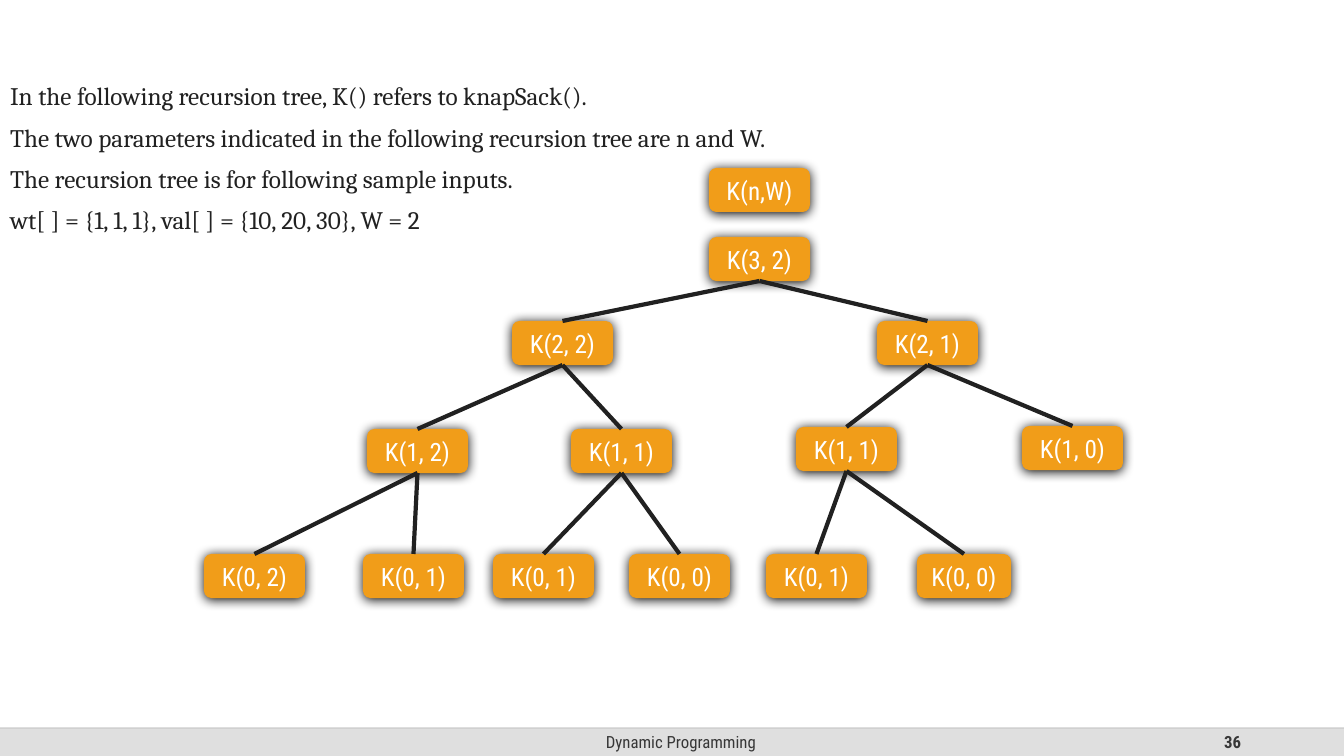
from lxml import etree
from pptx import Presentation
from pptx.dml.color import RGBColor
from pptx.enum.shapes import MSO_CONNECTOR, MSO_SHAPE
from pptx.enum.text import MSO_ANCHOR, MSO_AUTO_SIZE, PP_ALIGN
from pptx.oxml.ns import qn
from pptx.util import Emu, Pt

STRAIGHT = MSO_CONNECTOR.STRAIGHT
ROUNDED = MSO_SHAPE.ROUNDED_RECTANGLE
MIDDLE, TOP = MSO_ANCHOR.MIDDLE, MSO_ANCHOR.TOP
NO_FIT = MSO_AUTO_SIZE.NONE
CENTER, RIGHT, JUSTIFY = PP_ALIGN.CENTER, PP_ALIGN.RIGHT, PP_ALIGN.JUSTIFY

PX_PER_INCH = 100.8
SLIDE_W, SLIDE_H = 1344, 756
BOTTOM_SIDE, TOP_SIDE = 2, 0

SERIF, SANS = "Cambria", "Roboto Condensed"
ORANGE = RGBColor(0xF1, 0x9D, 0x19)
WHITE = RGBColor(0xFF, 0xFF, 0xFF)
BLACK = RGBColor(0x00, 0x00, 0x00)
INK = RGBColor(0x21, 0x21, 0x21)
FOOTER_INK = RGBColor(0x37, 0x37, 0x37)
FOOTER_GRAY = RGBColor(0xDF, 0xDF, 0xDF)
RULE_GRAY = RGBColor(0xBF, 0xBF, 0xBF)

INTRO = [
    "In the following recursion tree, K() refers to knapSack().",
    "The two parameters indicated in the following recursion tree are n and W.",
    "The recursion tree is for following sample inputs.",
    "wt[ ] = {1, 1, 1}, val[ ] = {10, 20, 30}, W = 2",
]

CALL_W, CALL_H = 101, 44
SIGNATURE = ("K(n,W)", 505, 0, CALL_W, [])
CALL_TREE = ("K(3, 2)", 505, 69, CALL_W, [
    ("K(2, 2)", 308, 153, CALL_W, [
        ("K(1, 2)", 163, 261, CALL_W, [
            ("K(0, 2)", 0, 386, CALL_W, []),
            ("K(0, 1)", 159, 386, CALL_W, [])]),
        ("K(1, 1)", 367, 261, CALL_W, [
            ("K(0, 1)", 289, 386, CALL_W, []),
            ("K(0, 0)", 425, 386, CALL_W, [])])]),
    ("K(2, 1)", 673, 153, CALL_W, [
        ("K(1, 1)", 592, 259, CALL_W, [
            ("K(0, 1)", 562, 386, CALL_W, []),
            ("K(0, 0)", 713, 386, 94, [])]),
        ("K(1, 0)", 818, 258, CALL_W, [])])])


def px(length):
    """Turn pixels into EMU."""
    return Emu(round(length * 914400 / PX_PER_INCH))


def add_run(paragraph, text, font_name, size, color, bold=False):
    """Add one formatted run to a paragraph."""
    run = paragraph.add_run()
    run.text = text
    run.font.name = font_name
    run.font.size = Pt(size)
    run.font.bold = bold
    run.font.color.rgb = color


def add_line(slide, start, end, color, width):
    """Draw a straight line without a shadow."""
    line = slide.shapes.add_connector(STRAIGHT, *map(px, start + end))
    line.line.color.rgb = color
    line.line.width = Pt(width)
    etree.SubElement(line._element.spPr, qn("a:effectLst"))
    return line


def add_panel(slide, left, top, width, height, color):
    """Draw a rounded, borderless panel without a shadow."""
    panel = slide.shapes.add_shape(ROUNDED, *map(px, (left, top, width, height)))
    panel.shadow.inherit = False
    panel.fill.solid()
    panel.fill.fore_color.rgb = color
    panel.line.fill.background()
    return panel


def add_glow(panel):
    """Give a panel a soft black shadow just below it."""
    effects = panel._element.spPr.find(qn("a:effectLst"))
    shadow = etree.SubElement(effects, qn("a:outerShdw"), blurRad=str(Pt(8.5)),
                              dist=str(Pt(1)), dir="5400000", algn="ctr", rotWithShape="0")
    etree.SubElement(shadow, qn("a:srgbClr"), val=str(BLACK))


def add_footer_text(slide, left, top, width, height, text, alignment, bold):
    """Write one caption in the footer."""
    caption = slide.shapes.add_textbox(*map(px, (left, top, width, height)))
    frame = caption.text_frame
    frame.word_wrap = True
    frame.vertical_anchor = MIDDLE
    frame.paragraphs[0].alignment = alignment
    add_run(frame.paragraphs[0], text, SANS, 12, FOOTER_INK, bold)


def add_footer(slide, left, top, width, height):
    """Draw the footer band with its rule, topic and page number."""
    band = add_panel(slide, left, top, width, height, FOOTER_GRAY)
    band.adjustments[0] = 0
    add_footer_text(slide, left + 445, top, 472, height, "Dynamic Programming", CENTER, False)
    add_footer_text(slide, left + 949, top, 302, height, "36", RIGHT, True)
    rule = add_line(slide, (left, top), (left + width, top), RULE_GRAY, 1)
    rule_color = rule._element.spPr.find(".//" + qn("a:srgbClr"))
    etree.SubElement(rule_color, qn("a:alpha"), val="70000")


def fill_intro(slide, left, top, width, height):
    """Write the introduction in the body placeholder."""
    intro = slide.placeholders[1]
    intro.left, intro.top, intro.width, intro.height = map(px, (left, top, width, height))
    frame = intro.text_frame
    frame.word_wrap = True
    frame.auto_size = NO_FIT
    frame.vertical_anchor = TOP
    for index, sentence in enumerate(INTRO):
        paragraph = frame.add_paragraph() if index else frame.paragraphs[0]
        properties = paragraph._p.get_or_add_pPr()
        properties.set("marL", "0")
        properties.set("indent", "0")
        etree.SubElement(properties, qn("a:buNone"))
        paragraph.alignment = JUSTIFY
        paragraph.line_spacing = 0.9
        paragraph.space_before = Pt(10 if index else 0)
        add_run(paragraph, sentence, SERIF, 18, INK)


def add_call(slide, left, top, call):
    """Draw a call, the calls it makes and the branches to them."""
    label, x, y, width, subcalls = call
    node = add_panel(slide, left + x, top + y, width, CALL_H, ORANGE)
    add_glow(node)
    frame = node.text_frame
    frame.word_wrap = False
    frame.vertical_anchor = MIDDLE
    frame.paragraphs[0].alignment = CENTER
    add_run(frame.paragraphs[0], label, SANS, 18, WHITE)
    for subcall in subcalls:
        child = add_call(slide, left, top, subcall)
        branch = add_line(slide, (0, 0), (0, 0), INK, 3)
        branch.begin_connect(node, BOTTOM_SIDE)
        branch.end_connect(child, TOP_SIDE)
    return node


def add_recursion_tree(slide, left, top):
    """Draw the call signature and the recursion tree below it."""
    for call in (SIGNATURE, CALL_TREE):
        add_call(slide, left, top, call)


def main():
    """Build and save the slide."""
    deck = Presentation()
    deck.slide_width, deck.slide_height = px(SLIDE_W), px(SLIDE_H)
    slide = deck.slides.add_slide(deck.slide_layouts[1])
    title = slide.shapes.title._element
    title.getparent().remove(title)
    add_footer(slide, 0, 728, SLIDE_W, 28)
    fill_intro(slide, 0, 79, 927, 180)
    add_recursion_tree(slide, 204, 168)
    deck.save("out.pptx")


if __name__ == "__main__":
    main()
